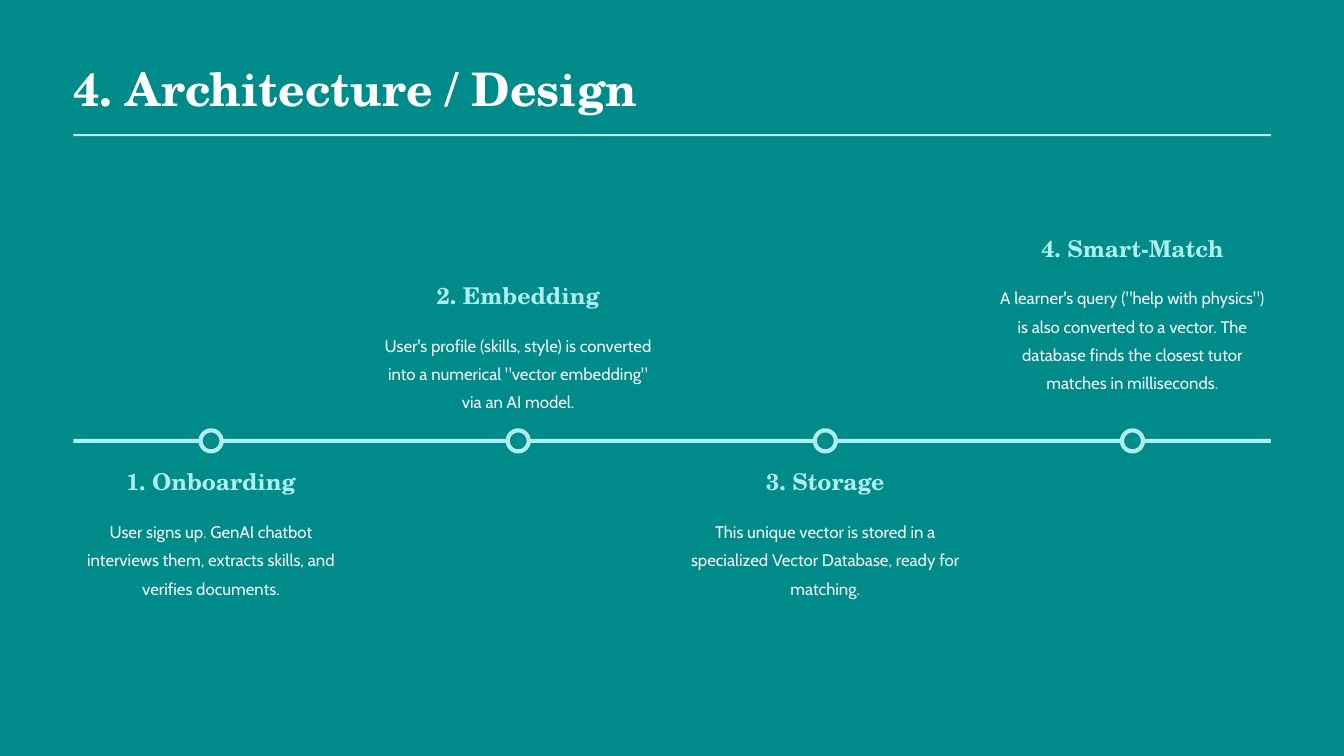
from pptx import Presentation
from pptx import util as u
from pptx.dml.color import RGBColor
from pptx.enum import shapes, text

TITLE = "4. Architecture / Design"
STEPS = [
    ("1. Onboarding", 11.79, 1.78,
     "User signs up. GenAI chatbot interviews them, extracts skills, and verifies documents."),
    ("2. Embedding", 7.09, 1.78,
     "User's profile (skills, style) is converted into a numerical \"vector embedding\" via an AI model."),
    ("3. Storage", 11.79, 1.78,
     "This unique vector is stored in a specialized Vector Database, ready for matching."),
    ("4. Smart-Match", 5.9, 2.97,
     "A learner's query (\"help with physics\") is also converted to a vector. "
     "The database finds the closest tutor matches in milliseconds."),
]
COLORS = {"teal": "008B8B", "aqua": "AFEEEE", "body": "F5F5F5", "white": "FFFFFF"}
SERIF, SANS = "TeX Gyre Schola", "Cabin"

LEFT, WIDTH = 1.85, 30.18
FIRST_CENTER, STEP_GAP = 5.32, 7.74
AXIS_Y, AXIS_HEIGHT, MARKER_SIZE = 11.11, 0.1, 0.53
HEADING_WIDTH, HEADING_HEIGHT = 7.29, 0.74
BODY_WIDTH, BODY_OFFSET = 6.93, 1.16


def color(name):
    return RGBColor.from_string(COLORS[name])


def write(shape, words, size, font, fill, bold=False, align=text.PP_ALIGN.CENTER, spacing=None):
    frame = shape.text_frame
    frame.word_wrap = True
    frame.auto_size = text.MSO_AUTO_SIZE.NONE
    frame.vertical_anchor = text.MSO_ANCHOR.TOP
    frame.margin_left = frame.margin_right = frame.margin_top = frame.margin_bottom = 0
    paragraph = frame.paragraphs[0]
    paragraph.alignment = align
    paragraph.line_spacing = spacing
    run = paragraph.add_run()
    run.text = words
    run.font.size = u.Pt(size)
    run.font.name = font
    run.font.bold = bold
    run.font.color.rgb = color(fill)


def box(left, top, width, height):
    return u.Cm(left), u.Cm(top), u.Cm(width), u.Cm(height)


def add_block(slide, kind, place, fill, corner=None, outline=None):
    shape = slide.shapes.add_shape(kind, *place)
    shape.shadow.inherit = False
    shape.fill.solid()
    shape.fill.fore_color.rgb = color(fill)
    if corner is not None:
        shape.adjustments[0] = corner
    if outline:
        shape.line.color.rgb = color(outline)
        shape.line.width = u.Pt(3)
    else:
        shape.line.fill.background()


def main():
    presentation = Presentation()
    presentation.slide_width, presentation.slide_height = u.Cm(33.87), u.Cm(19.05)
    slide = presentation.slides.add_slide(presentation.slide_layouts[5])
    slide.background.fill.solid()
    slide.background.fill.fore_color.rgb = color("teal")

    title = slide.shapes.title
    title.left, title.top, title.width, title.height = box(LEFT, 1.52, 31.67, 1.5)
    write(title, TITLE, 33, SERIF, "white", bold=True, align=text.PP_ALIGN.LEFT)
    add_block(slide, shapes.MSO_SHAPE.RECTANGLE, box(LEFT, 3.38, WIDTH, 0.05), "aqua")

    rounded = shapes.MSO_SHAPE.ROUNDED_RECTANGLE
    add_block(slide, rounded, box(LEFT, AXIS_Y - AXIS_HEIGHT / 2, WIDTH, AXIS_HEIGHT),
              "aqua", corner=0.17)

    for index, (heading, top, body_height, body) in enumerate(STEPS):
        center = FIRST_CENTER + index * STEP_GAP
        heading_box = slide.shapes.add_textbox(
            *box(center - HEADING_WIDTH / 2, top, HEADING_WIDTH, HEADING_HEIGHT))
        write(heading_box, heading, 16.5, SERIF, "aqua", bold=True)
        body_box = slide.shapes.add_textbox(
            *box(center - BODY_WIDTH / 2, top + BODY_OFFSET, BODY_WIDTH, body_height))
        write(body_box, body, 12, SANS, "body", spacing=1.4)
        add_block(slide, rounded,
                  box(center - MARKER_SIZE / 2, AXIS_Y - MARKER_SIZE / 2, MARKER_SIZE, MARKER_SIZE),
                  "teal", corner=0.5, outline="aqua")

    presentation.save("out.pptx")


if __name__ == "__main__":
    main()
